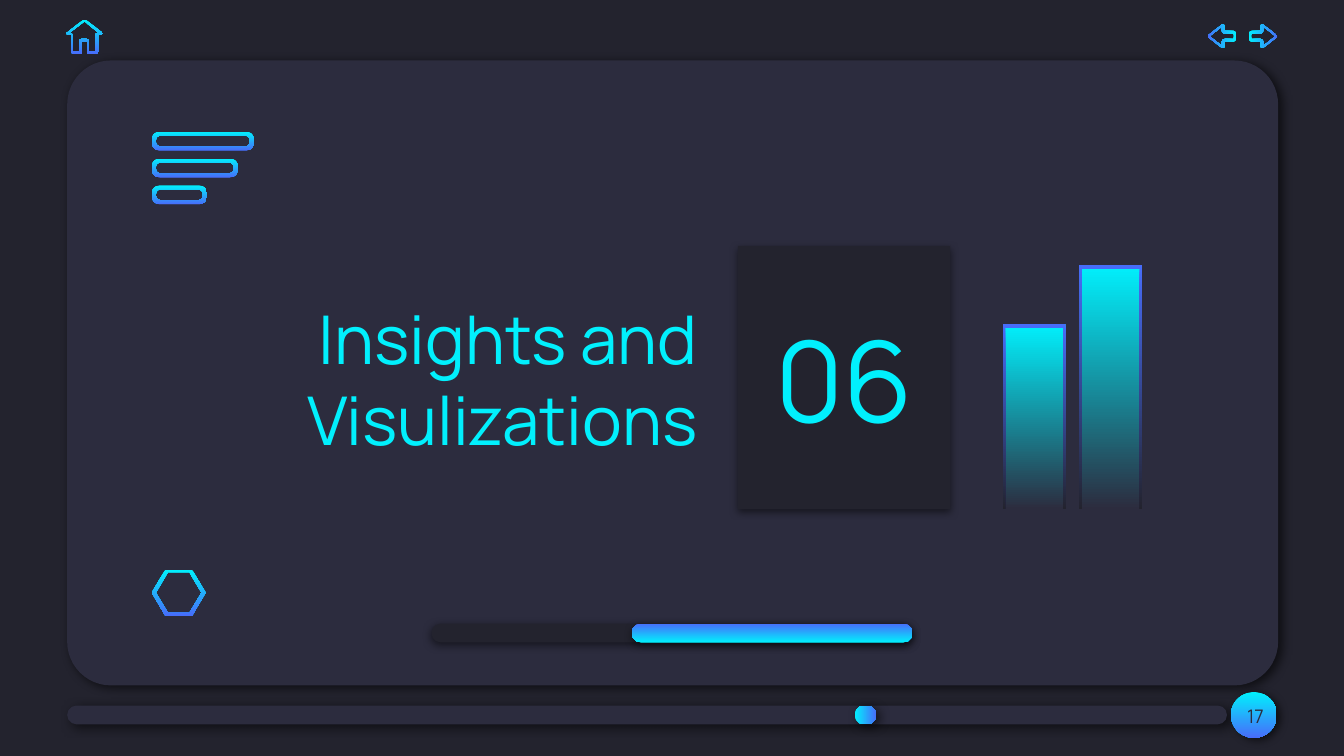
import pptx
import pptx.util
import pptx.dml.color
import pptx.enum.shapes
import pptx.enum.text
import pptx.oxml
import pptx.oxml.ns

Inches = pptx.util.Inches
Kind = pptx.enum.shapes.MSO_SHAPE
Align = pptx.enum.text.PP_ALIGN


class Theme:
    font = "Manrope"
    back = "23232E"
    card = "2C2C3E"
    cyan = "01F0FD"
    blue = "476DFA"
    glow = (cyan, blue)
    head = 36
    big = 60
    small = 10
    soft = (60, 5.6, 2.2, 33)
    disc = (60, 4.5, 2.2, 33)
    drop = (50, 4.5, 1.5, 90)


def style(shape, tones, angle=90, shade=None):
    shape.shadow.inherit = False
    shape.line.fill.background()
    if len(tones) == 1:
        shape.fill.solid()
        shape.fill.fore_color.rgb = pptx.dml.color.RGBColor.from_string(tones[0])
    else:
        shape.fill.gradient()
        shape.fill.gradient_angle = (360 - angle) % 360
        for stop, tone in zip(shape.fill.gradient_stops, tones):
            stop.color.rgb = pptx.dml.color.RGBColor.from_string(tone)
    if shade:
        alpha, blur, dist, turn = shade
        space = pptx.oxml.ns.nsdecls("a")
        shape.element.spPr.find(pptx.oxml.ns.qn("a:effectLst")).append(pptx.oxml.parse_xml(
            f'<a:outerShdw {space} blurRad="{pptx.util.Pt(blur)}" dist="{pptx.util.Pt(dist)}" '
            f'dir="{turn * 60000}" algn="bl" rotWithShape="0"><a:srgbClr val="000000">'
            f'<a:alpha val="{alpha * 1000}"/></a:srgbClr></a:outerShdw>'))


def draw(loops, tones, angle=90):
    pen = None
    for loop in loops:
        dots = []
        for i, (x, y, r) in enumerate(loop):
            if r == 0:
                dots.append((Inches(x), Inches(y)))
                continue
            ends = []
            for px, py, _ in (loop[i - 1], loop[(i + 1) % len(loop)]):
                span = ((px - x) ** 2 + (py - y) ** 2) ** 0.5
                ends.append((x + (px - x) * r / span, y + (py - y) * r / span))
            (ax, ay), (bx, by) = ends
            for step in range(9):
                t = step / 8
                u = 1 - t
                dots.append((Inches(u * u * ax + 2 * u * t * x + t * t * bx),
                             Inches(u * u * ay + 2 * u * t * y + t * t * by)))
        if pen is None:
            pen = page.shapes.build_freeform(*dots[0])
        else:
            pen.move_to(*dots[0])
        pen.add_line_segments(dots[1:], close=True)
    style(pen.convert_to_shape(), tones, angle)


deck = pptx.Presentation()
deck.slide_width = Inches(10)
deck.slide_height = Inches(10) * 9 // 16
page = deck.slides.add_slide(deck.slide_layouts[5])
page.background.fill.solid()
page.background.fill.fore_color.rgb = pptx.dml.color.RGBColor.from_string(Theme.back)

for kind, box, bend, tones, angle, shade in (
    (Kind.ROUNDED_RECTANGLE, (0.5, 0.45, 9.01, 4.65), 0.07, (Theme.card,), 0, Theme.soft),
    (Kind.ROUNDED_RECTANGLE, (0.5, 5.25, 8.63, 0.14), 0.5, (Theme.card,), 0, Theme.soft),
    (Kind.OVAL, (9.16, 5.15, 0.34, 0.34), None, Theme.glow, 90, Theme.disc),
    (Kind.ROUNDED_RECTANGLE, (6.36, 5.25, 0.16, 0.14), 0.5, Theme.glow, 0, Theme.soft),
    (Kind.ROUNDED_RECTANGLE, (3.21, 4.64, 3.58, 0.14), 0.5, (Theme.back,), 0, Theme.drop),
    (Kind.ROUNDED_RECTANGLE, (4.7, 4.64, 2.09, 0.14), 0.5, Theme.glow[::-1], 90, Theme.drop),
):
    shape = page.shapes.add_shape(kind, *map(Inches, box))
    if bend:
        shape.adjustments[0] = bend
    style(shape, tones, angle, shade)

title = page.shapes.title
title.element.getparent().append(title.element)
title.left, title.top, title.width, title.height = map(Inches, (1.47, 2.15, 3.82, 1.33))
tile = page.shapes.add_shape(Kind.RECTANGLE, *map(Inches, (5.49, 1.83, 1.58, 1.96)))
style(tile, (Theme.back,), shade=Theme.drop)
count = page.shapes.add_textbox(*map(Inches, (9.04, 5.11, 0.6, 0.43)))

for shape, text, size, tone, align in (
    (title, "Insights and Visulizations", Theme.head, Theme.cyan, Align.RIGHT),
    (tile, "06", Theme.big, Theme.cyan, Align.CENTER),
    (count, "17", Theme.small, Theme.card, Align.CENTER),
):
    frame = shape.text_frame
    frame.word_wrap = True
    frame.auto_size = pptx.enum.text.MSO_AUTO_SIZE.NONE
    frame.vertical_anchor = pptx.enum.text.MSO_ANCHOR.MIDDLE
    frame.margin_left = frame.margin_right = Inches(0.1)
    frame.margin_top = frame.margin_bottom = Inches(0.1)
    para = frame.paragraphs[0]
    para.alignment = align
    para.line_spacing = 1.0
    run = para.add_run()
    run.text = text
    run.font.name = Theme.font
    run.font.size = pptx.util.Pt(size)
    run.font.color.rgb = pptx.dml.color.RGBColor.from_string(tone)

arrow = (
    ((9.29, 0.23, 0.03), (9.38, 0.23, 0.01), (9.38, 0.17, 0.03), (9.51, 0.27, 0.02),
     (9.38, 0.37, 0.03), (9.38, 0.31, 0.01), (9.29, 0.31, 0.03)),
    ((9.31, 0.25, 0.01), (9.4, 0.25, 0.03), (9.4, 0.2, 0.01), (9.49, 0.27, 0.01),
     (9.4, 0.34, 0.01), (9.4, 0.29, 0.03), (9.31, 0.29, 0.01)),
)
draw(arrow, Theme.glow, 0)
draw([[(18.49 - x, y, r) for x, y, r in loop] for loop in arrow], Theme.glow, 180)

home = (
    ((0.63, 0.14, 0.02), (0.77, 0.25, 0.01), (0.75, 0.26, 0.01), (0.73, 0.26, 0),
     (0.73, 0.4, 0.02), (0.65, 0.4, 0), (0.65, 0.31, 0), (0.61, 0.31, 0),
     (0.61, 0.4, 0), (0.53, 0.4, 0.02), (0.53, 0.26, 0), (0.51, 0.26, 0.01),
     (0.49, 0.25, 0.01)),
    ((0.63, 0.16, 0), (0.74, 0.25, 0), (0.71, 0.25, 0.01), (0.71, 0.38, 0),
     (0.66, 0.38, 0), (0.66, 0.29, 0.02), (0.59, 0.29, 0.02), (0.59, 0.38, 0),
     (0.54, 0.38, 0), (0.54, 0.25, 0.01), (0.51, 0.25, 0)),
)
draw(home, Theme.glow)

for row, width in enumerate((0.76, 0.64, 0.41)):
    top = 0.98 + 0.2 * row
    loops = []
    for gap, r in ((0, 0.07), (0.03, 0.04)):
        west, east = 1.13 + gap, 1.13 + width - gap
        north, south = top + gap, top + 0.14 - gap
        loops.append([(west, north, r), (east, north, r), (east, south, r), (west, south, r)])
    draw(loops, Theme.glow)

hexes = []
for wide, slim, high in ((0.2, 0.1, 0.17), (0.17, 0.08, 0.15)):
    hexes.append([(1.33 + x, 4.41 + y, 0) for x, y in (
        (-wide, 0), (-slim, -high), (slim, -high), (wide, 0), (slim, high), (-slim, high))])
draw(hexes, Theme.glow)

base = 3.79
for left, top in ((7.46, 2.41), (8.03, 1.97)):
    right = left + 0.47
    draw([[(left, top, 0), (right, top, 0), (right, base, 0), (left, base, 0)]],
         (Theme.cyan, Theme.card))
    draw([[(right, base, 0), (right - 0.02, base, 0), (right - 0.02, top + 0.03, 0),
           (left + 0.02, top + 0.03, 0), (left + 0.02, base, 0), (left, base, 0),
           (left, top, 0), (right, top, 0)]], (Theme.blue, Theme.back))

deck.save("out.pptx")
